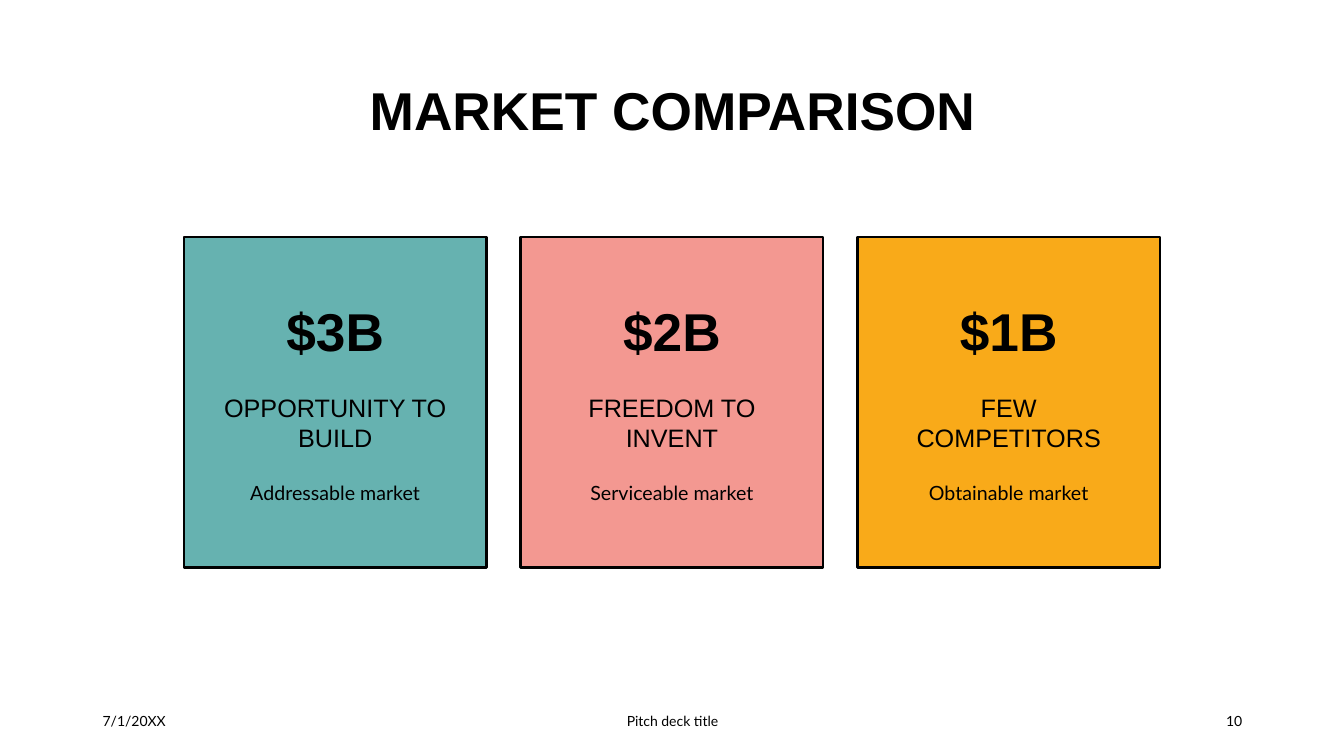
from pptx import Presentation, util as u
from pptx.dml.color import RGBColor
from pptx.enum import shapes, text

COLORS = {"ink": "000000", "paper": "FFFFFF", "teal": "66B2B0",
          "pink": "F39891", "amber": "F9AA19"}
LEFT, CENTER, RIGHT = text.PP_ALIGN.LEFT, text.PP_ALIGN.CENTER, text.PP_ALIGN.RIGHT
TOP, MIDDLE = text.MSO_ANCHOR.TOP, text.MSO_ANCHOR.MIDDLE


def color(name):
    return RGBColor.from_string(COLORS[name])


class PitchSlide:
    heading_font = "Arial"
    body_font = "Lato"

    def __init__(self, deck):
        self.slide = deck.slides.add_slide(deck.slide_layouts[5])
        self.slide.background.fill.solid()
        self.slide.background.fill.fore_color.rgb = color("paper")

    def set_text(self, frame, lines, size, font, bold=False, align=CENTER,
                 anchor=TOP, spacing=1.0):
        frame.word_wrap = True
        frame.auto_size = text.MSO_AUTO_SIZE.NONE
        frame.vertical_anchor = anchor
        frame.text = lines
        for paragraph in frame.paragraphs:
            paragraph.alignment = align
            paragraph.line_spacing = spacing
            paragraph.font.size = u.Pt(size)
            paragraph.font.name = font
            paragraph.font.bold = bold
            paragraph.font.color.rgb = color("ink")

    def title(self, words, left, top, width, height):
        heading = self.slide.shapes.title
        heading.left, heading.top = u.Inches(left), u.Inches(top)
        heading.width, heading.height = u.Inches(width), u.Inches(height)
        self.set_text(heading.text_frame, words, 38, self.heading_font,
                      bold=True, anchor=MIDDLE, spacing=0.9)

    def card(self, amount, fill, left, top, width, height):
        card = self.slide.shapes.add_shape(
            shapes.MSO_SHAPE.RECTANGLE, u.Inches(left), u.Inches(top),
            u.Inches(width), u.Inches(height))
        card.shadow.inherit = False
        card.fill.solid()
        card.fill.fore_color.rgb = color(fill)
        card.line.color.rgb = color("ink")
        card.line.width = u.Pt(1.75)
        card.text_frame.margin_top = u.Inches(0.68)
        self.set_text(card.text_frame, amount, 38, self.heading_font,
                      bold=True, spacing=0.9)

    def label(self, words, left, top, width, height, size, font, **style):
        label = self.slide.shapes.add_textbox(
            u.Inches(left), u.Inches(top), u.Inches(width), u.Inches(height))
        self.set_text(label.text_frame, words, size, font, **style)


def main():
    deck = Presentation()
    deck.slide_width, deck.slide_height = u.Inches(13.33), u.Inches(7.5)
    page = PitchSlide(deck)
    page.title("MARKET COMPARISON", 0.92, 0.4, 11.5, 1.45)

    # Market cards: amount, advantage and market type
    markets = [
        ("$3B", "OPPORTUNITY TO BUILD", "Addressable market", "teal"),
        ("$2B", "FREEDOM TO INVENT", "Serviceable market", "pink"),
        ("$1B", "FEW\nCOMPETITORS", "Obtainable market", "amber"),
    ]
    card_width, label_width, gap = 3, 2.5, 0.34
    first_left = (13.33 - 3 * card_width - 2 * gap) / 2
    for index, (amount, advantage, market, fill) in enumerate(markets):
        left = first_left + index * (card_width + gap)
        label_left = left + (card_width - label_width) / 2
        page.card(amount, fill, left, 2.35, card_width, 3.28)
        page.label(advantage, label_left, 3.84, label_width, 0.8, 18,
                   page.heading_font)
        page.label(market, label_left, 4.68, label_width, 0.7, 14,
                   page.body_font, spacing=u.Pt(20))

    # Footer: date, deck title and page number
    for words, left, width, align in [("7/1/20XX", 0.92, 3, LEFT),
                                      ("Pitch deck title", 4.42, 4.5, CENTER),
                                      ("10", 9.42, 3, RIGHT)]:
        page.label(words, left, 6.95, width, 0.4, 10, page.body_font,
                   align=align, anchor=MIDDLE)

    deck.save("out.pptx")


if __name__ == "__main__":
    main()
